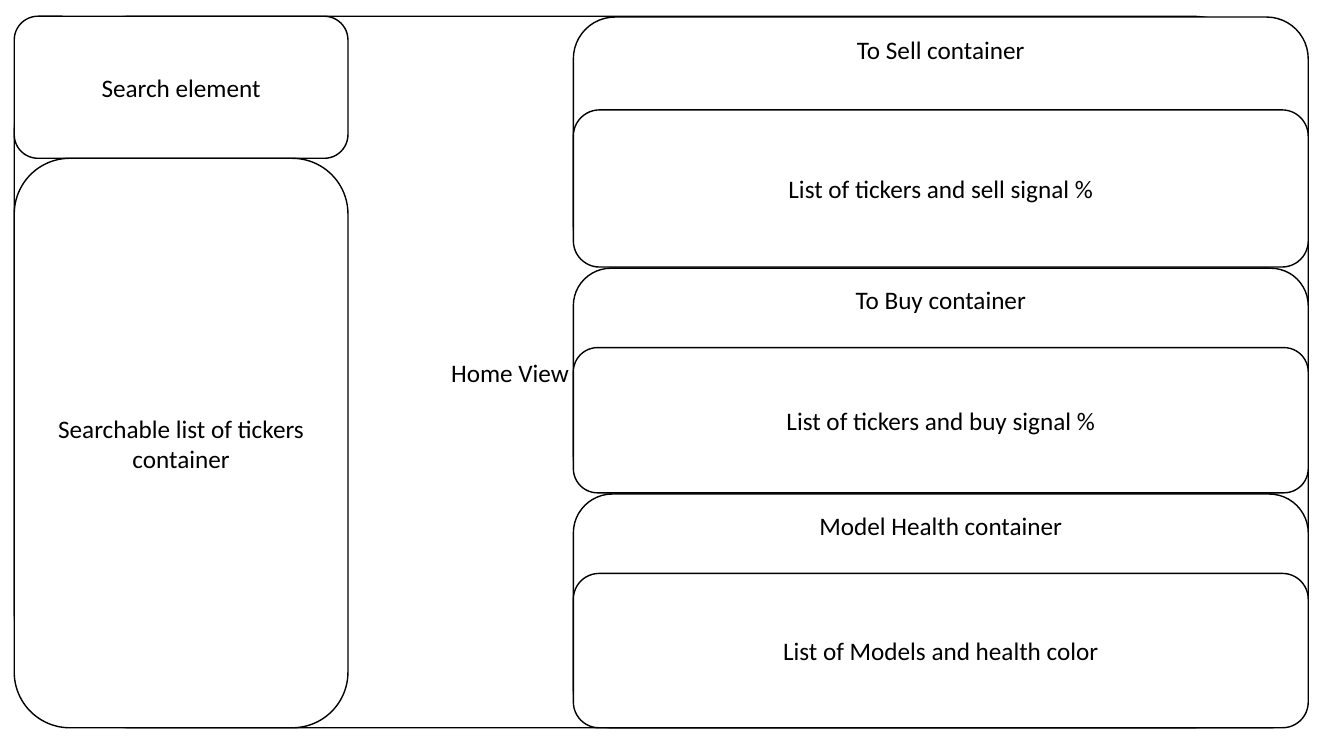
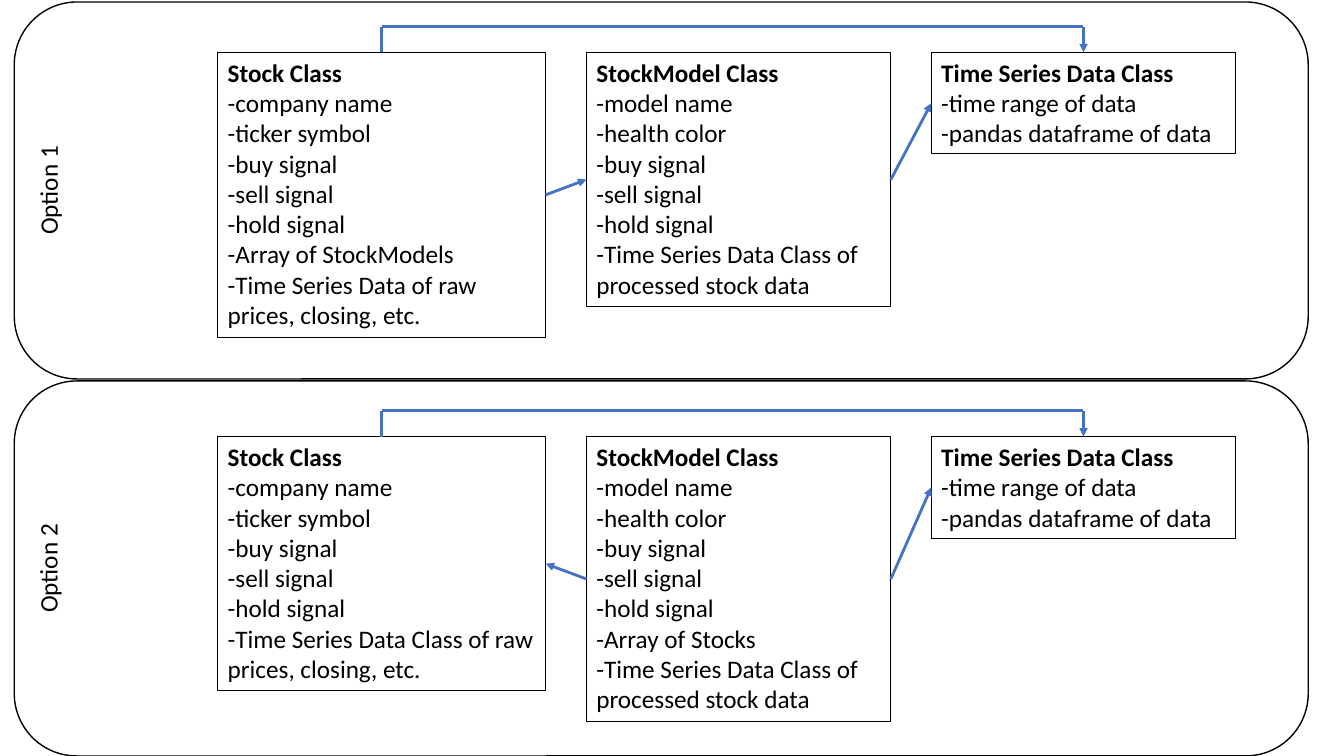
from dataclasses import dataclass
from math import ceil

from lxml import etree
from pptx import Presentation
from pptx.dml.color import RGBColor
from pptx.enum.shapes import MSO_CONNECTOR, MSO_SHAPE
from pptx.enum.text import MSO_ANCHOR, MSO_AUTO_SIZE, PP_ALIGN
from pptx.oxml.ns import qn
from pptx.util import Cm, Pt

ROUND = MSO_SHAPE.ROUNDED_RECTANGLE
STRAIGHT = MSO_CONNECTOR.STRAIGHT
TOP, MIDDLE = MSO_ANCHOR.TOP, MSO_ANCHOR.MIDDLE
CENTER, LEFT = PP_ALIGN.CENTER, PP_ALIGN.LEFT
FIT = MSO_AUTO_SIZE.SHAPE_TO_FIT_TEXT
TOP_SIDE, LEFT_SIDE, RIGHT_SIDE = 0, 1, 3
BLANK = 6

# Content: panels are (title, list text, top, height, title height) in cm
HOME = "Home View"
SIDE = [("Search element", 0.41, 3.58),
        ("Searchable list of tickers container", 3.99, 14.35)]
PANELS = [
    ("To Sell container", "List of tickers and sell signal %", 0.43, 6.3, 2.34),
    ("To Buy container", "List of tickers and buy signal %", 6.76, 5.66, 2),
    ("Model Health container", "List of Models and health color", 12.45, 5.89, 2),
]

SIGNALS = ["-buy signal", "-sell signal", "-hold signal"]
STOCK = ["Stock Class", "-company name", "-ticker symbol", *SIGNALS]
MODEL = ["StockModel Class", "-model name", "-health color", *SIGNALS]
SERIES = ["Time Series Data Class", "-time range of data",
          "-pandas dataframe of data"]
DATA = "-Time Series Data Class of processed stock data"

# Links are (from box, side, to box, side)
TO_SERIES = (1, RIGHT_SIDE, 2, LEFT_SIDE)
OPTIONS = [
    {"name": "Option 1", "top": 0.05, "height": 9.5, "row": 1.32,
     "boxes": [STOCK + ["-Array of StockModels",
                        "-Time Series Data of raw prices, closing, etc."],
               MODEL + [DATA], SERIES],
     "links": [(0, RIGHT_SIDE, 1, LEFT_SIDE), TO_SERIES]},
    {"name": "Option 2", "top": 9.6, "height": 9.45, "row": 11,
     "boxes": [STOCK + ["-Time Series Data Class of raw prices, closing, etc."],
               MODEL + ["-Array of Stocks", DATA], SERIES],
     "links": [(1, LEFT_SIDE, 0, RIGHT_SIDE), TO_SERIES]},
]

# Layout in cm
EDGE, WIDTH = 0.36, 32.61
FRAME_TOP, FRAME_HEIGHT, FRAME_INSET = 0.41, 17.93, 7.87
SIDE_WIDTH, PANEL_LEFT, PANEL_WIDTH = 8.41, 14.45, 18.52
COLUMNS = [(5.49, 8.26), (14.78, 7.67), (23.47, 7.67)]
LINE_STEP, BOX_PAD, LINE_CHARS = 0.77, 0.25, 30
LANE_GAP = 0.65


@dataclass(frozen=True)
class Theme:
    """Colours, font and sizes that both slides share."""
    ink: RGBColor = RGBColor(0, 0, 0)
    paper: RGBColor = RGBColor(255, 255, 255)
    arrow: RGBColor = RGBColor(0x44, 0x72, 0xC4)
    font: str = "Calibri"
    size: Pt = Pt(18)
    border: Pt = Pt(1)
    thin: Pt = Pt(0.75)
    thick: Pt = Pt(2)


THEME = Theme()


def stroke(line, color, width):
    """Give a line its colour and width."""
    line.color.rgb = color
    line.width = width


def write(par, text, align, bold=False):
    """Add one run of text to a paragraph."""
    par.alignment = align
    run = par.add_run()
    run.text = text
    font = run.font
    font.name, font.size, font.bold = THEME.font, THEME.size, bold
    font.color.rgb = THEME.ink


def panel(slide, text, left, top, width, height, anchor=MIDDLE):
    """Draw a white rounded panel with centred text."""
    shape = slide.shapes.add_shape(
        ROUND, Cm(left), Cm(top), Cm(width), Cm(height))
    shape.shadow.inherit = False
    shape.fill.solid()
    shape.fill.fore_color.rgb = THEME.paper
    stroke(shape.line, THEME.ink, THEME.border)
    frame = shape.text_frame
    frame.word_wrap = True
    frame.vertical_anchor = anchor
    write(frame.paragraphs[0], text, CENTER)
    return shape


def class_box(slide, lines, left, top, width):
    """Draw a class box with a bold name and its fields."""
    rows = sum(ceil(len(text) / LINE_CHARS) for text in lines)
    box = slide.shapes.add_textbox(
        Cm(left), Cm(top), Cm(width), Cm(rows * LINE_STEP + BOX_PAD))
    stroke(box.line, THEME.ink, THEME.thin)
    frame = box.text_frame
    frame.word_wrap = True
    frame.auto_size = FIT
    for i, text in enumerate(lines):
        par = frame.add_paragraph() if i else frame.paragraphs[0]
        write(par, text, LEFT, bold=i == 0)
    return box


def segment(slide, start=(0, 0), end=(0, 0), head=False):
    """Draw a straight blue line, with an arrowhead if asked."""
    link = slide.shapes.add_connector(STRAIGHT, *start, *end)
    stroke(link.line, THEME.arrow, THEME.thick)
    props = link.element.spPr
    if head:
        etree.SubElement(props.find(qn("a:ln")), qn("a:tailEnd"),
                         type="triangle")
    etree.SubElement(props, qn("a:effectLst"))
    return link


def arrow(slide, start, start_side, end, end_side):
    """Join the sides of two boxes with an arrow."""
    link = segment(slide, head=True)
    link.begin_connect(start, start_side)
    link.end_connect(end, end_side)


def detour(slide, start, end):
    """Join the tops of two boxes by a lane above the box between them."""
    lane = start.top - Cm(LANE_GAP)
    first, last = [box.left + box.width // 2 for box in (start, end)]
    rise = segment(slide, (first, start.top), (first, lane))
    rise.begin_connect(start, TOP_SIDE)
    segment(slide, (first, lane), (last, lane))
    drop = segment(slide, (last, lane), (last, end.top), head=True)
    drop.end_connect(end, TOP_SIDE)


def home_slide(slide):
    """Lay out the home view."""
    home = panel(slide, HOME, EDGE, FRAME_TOP, WIDTH, FRAME_HEIGHT)
    home.text_frame.margin_right = Cm(FRAME_INSET)
    for title, items, top, height, head in PANELS:
        panel(slide, title, PANEL_LEFT, top, PANEL_WIDTH, height, TOP)
        panel(slide, items, PANEL_LEFT, top + head, PANEL_WIDTH, height - head)
    for text, top, height in SIDE:
        panel(slide, text, EDGE, top, SIDE_WIDTH, height)


def option_band(slide, option):
    """Draw one option with its class boxes and arrows."""
    band = panel(slide, option["name"], EDGE, option["top"], WIDTH,
                 option["height"], TOP)
    band.text_frame.margin_left = band.text_frame.margin_right = 0
    band.element.txBody.bodyPr.set("vert", "vert270")
    boxes = [class_box(slide, lines, left, option["row"], width)
             for lines, (left, width) in zip(option["boxes"], COLUMNS)]
    for start, start_side, end, end_side in option["links"]:
        arrow(slide, boxes[start], start_side, boxes[end], end_side)
    detour(slide, boxes[0], boxes[-1])


def main():
    """Build and save both slides."""
    deck = Presentation()
    deck.slide_width, deck.slide_height = Cm(33.87), Cm(19.05)
    blank = deck.slide_layouts[BLANK]
    home_slide(deck.slides.add_slide(blank))
    classes = deck.slides.add_slide(blank)
    for option in OPTIONS:
        option_band(classes, option)
    deck.save("out.pptx")


main()
